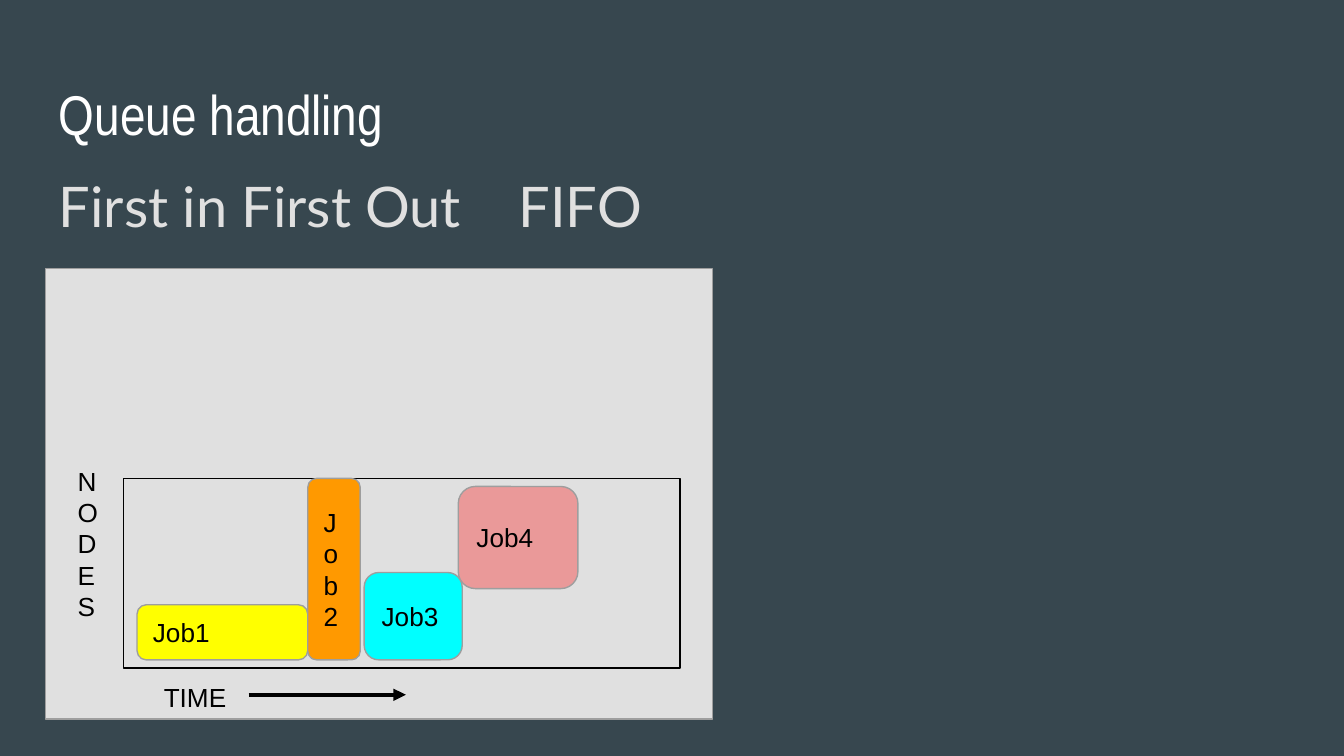
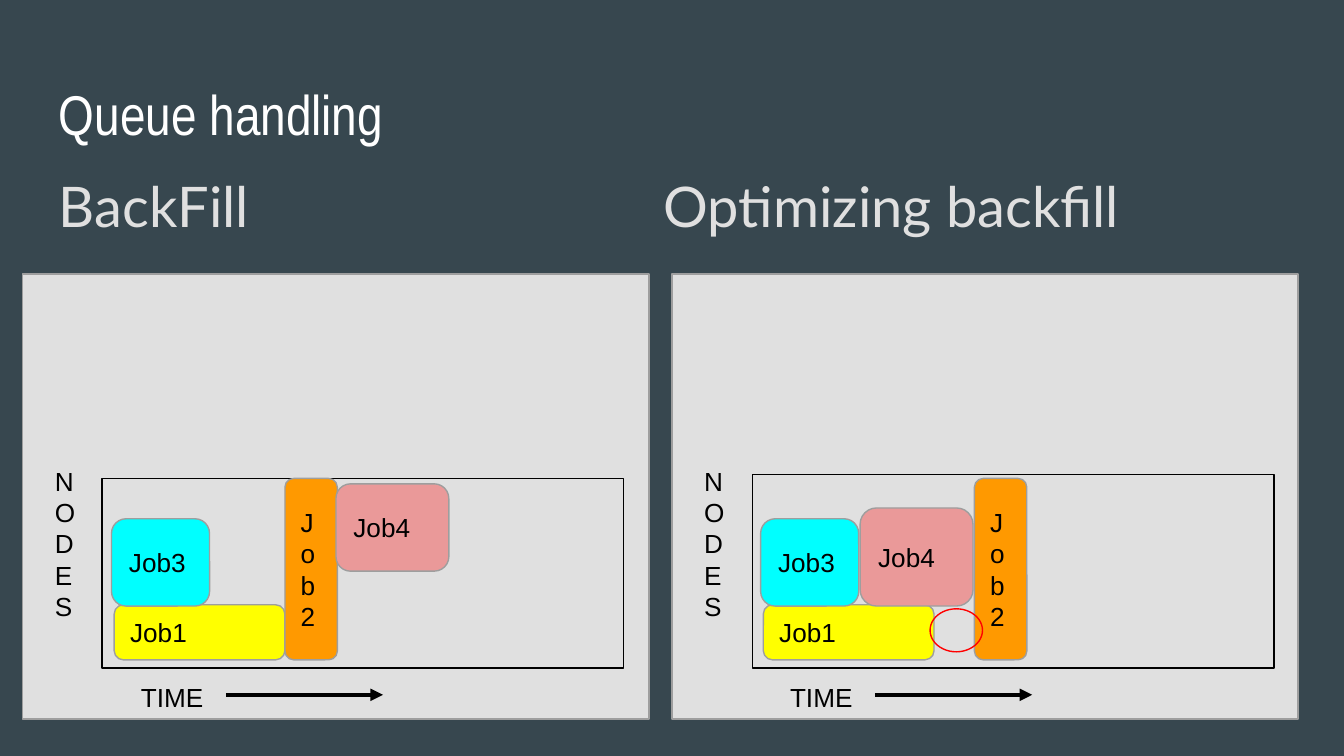
from lxml import etree
from pptx import Presentation, util as u
from pptx.dml.color import RGBColor
from pptx.enum import shapes, text
from pptx.oxml.ns import qn

WIDE = u.Inches(10)
HIGH = WIDE * 9 // 16
BACK, PALE, GRAY, BLACK, RED = "37474F", "E0E0E0", "9E9E9E", "000000", "FF0000"
TITLE = dict(name="Arial Narrow", size=u.Pt(30)), "FFFFFF"
HEAD = dict(name="Lato", size=u.Pt(30)), PALE
LABEL = dict(name="Arial", size=u.Pt(14)), BLACK
FLOOR, BASE = 5.35, 4.97
TINTS = {"Job1": "FFFF00", "Job2": "FF9900", "Job3": "00FFFF", "Job4": "EA9999"}
SIZES = {"Job1": (1.27, .41), "Job2": (.39, 1.35), "Job3": (.73, .65)}

FIFO = dict(left=.34, top=2, wide=4.96, frame=(.58, 3.56, 4.14),
            jobs={"Job1": (.68, 4.5), "Job2": (1.95, 3.56), "Job3": (2.37, 4.26),
                  "Job4": (3.07, 3.62, .89, .76)})
FILL = dict(left=.17, top=2.04, wide=4.66, frame=(.59, 3.56, 3.88),
            jobs={"Job1": (.68, 4.5), "Job2": (1.95, 3.56), "Job3": (.66, 3.86),
                  "Job4": (2.33, 3.6, .84, .65)})
BEST = dict(left=5, top=2.04, wide=4.66, frame=(.6, 3.53, 3.88), ring=(1.92, 4.53, .39, .32),
            jobs={"Job1": (.68, 4.5), "Job2": (2.25, 3.56), "Job3": (.66, 3.86),
                  "Job4": (1.4, 3.78, .84, .73)})
SLIDES = [
    ("First in First Out\tFIFO", 3.42, [FIFO]),
    ("BackFill\tOptimizing backfill", 4.5, [BEST, FILL]),
]


def tint(part, code):
    part.rgb = RGBColor.from_string(code)


def write(shape, words, style, anchor=text.MSO_ANCHOR.TOP, tab=None):
    frame, (font, code) = shape.text_frame, style
    form = dict(word_wrap=True, vertical_anchor=anchor)
    form.update({"margin_" + side: u.Inches(.1) for side in ("left", "top", "right", "bottom")})
    for key, val in form.items():
        setattr(frame, key, val)
    para = frame.paragraphs[0]
    para.alignment = text.PP_ALIGN.LEFT
    if tab:
        stops = etree.SubElement(para._p.get_or_add_pPr(), qn("a:tabLst"))
        etree.SubElement(stops, qn("a:tab"), pos=str(u.Inches(tab)), algn="l")
    run = para.add_run()
    run.text = words
    for key, val in font.items():
        setattr(run.font, key, val)
    tint(run.font.color, code)


def label(slide, box, words, style, tab=None):
    write(slide.shapes.add_textbox(*map(u.Inches, box)), words, style, tab=tab)


def block(slide, kind, box, fill, edge):
    shape = slide.shapes.add_shape(kind, *map(u.Inches, box))
    shape.shadow.inherit = False
    if fill:
        shape.fill.solid()
        tint(shape.fill.fore_color, fill)
    else:
        shape.fill.background()
    tint(shape.line.color, edge)
    shape.line.width = u.Pt(.75)
    return shape


def arrow(slide, start, end, high):
    line = slide.shapes.add_connector(shapes.MSO_CONNECTOR.STRAIGHT,
                                      *map(u.Inches, (start, high, end, high)))
    tint(line.line.color, BLACK)
    line.line.width = u.Pt(2.25)
    etree.SubElement(line.line._get_or_add_ln(), qn("a:tailEnd"), type="triangle")
    etree.SubElement(line._element.spPr, qn("a:effectLst"))


def panel(slide, left, top, wide, frame, jobs, ring=None):
    kind = shapes.MSO_SHAPE
    block(slide, kind.RECTANGLE, (left, top, wide, FLOOR - top), PALE, GRAY)
    side, roof, span = frame
    block(slide, kind.RECTANGLE, (left + side, roof, span, BASE - roof), PALE, BLACK)
    label(slide, (left + .14, 3.36, .39, 1.49), "NODES", LABEL)
    label(slide, (left + .78, 4.98, 3.32, .19), "TIME", LABEL)
    arrow(slide, left + 1.51, left + 2.68, 5.17)
    for name, (dx, high, *size) in jobs.items():
        box = (left + dx, high, *(size or SIZES[name]))
        job = block(slide, kind.ROUNDED_RECTANGLE, box, TINTS[name], GRAY)
        write(job, name, LABEL, text.MSO_ANCHOR.MIDDLE)
    if ring:
        block(slide, kind.OVAL, (left + ring[0], *ring[1:]), None, RED)


def main():
    """Build the queue handling slides."""
    deck = Presentation()
    deck.slide_width, deck.slide_height = WIDE, HIGH
    for head, tab, panels in SLIDES:
        slide = deck.slides.add_slide(deck.slide_layouts[6])
        slide.background.fill.solid()
        tint(slide.background.fill.fore_color, BACK)
        label(slide, (.34, .49, 9.32, .63), "Queue handling", TITLE)
        label(slide, (.34, 1.18, 8.8, 1.01), head, HEAD, tab)
        for part in panels:
            panel(slide, **part)
    deck.save("out.pptx")


if __name__ == "__main__":
    main()
